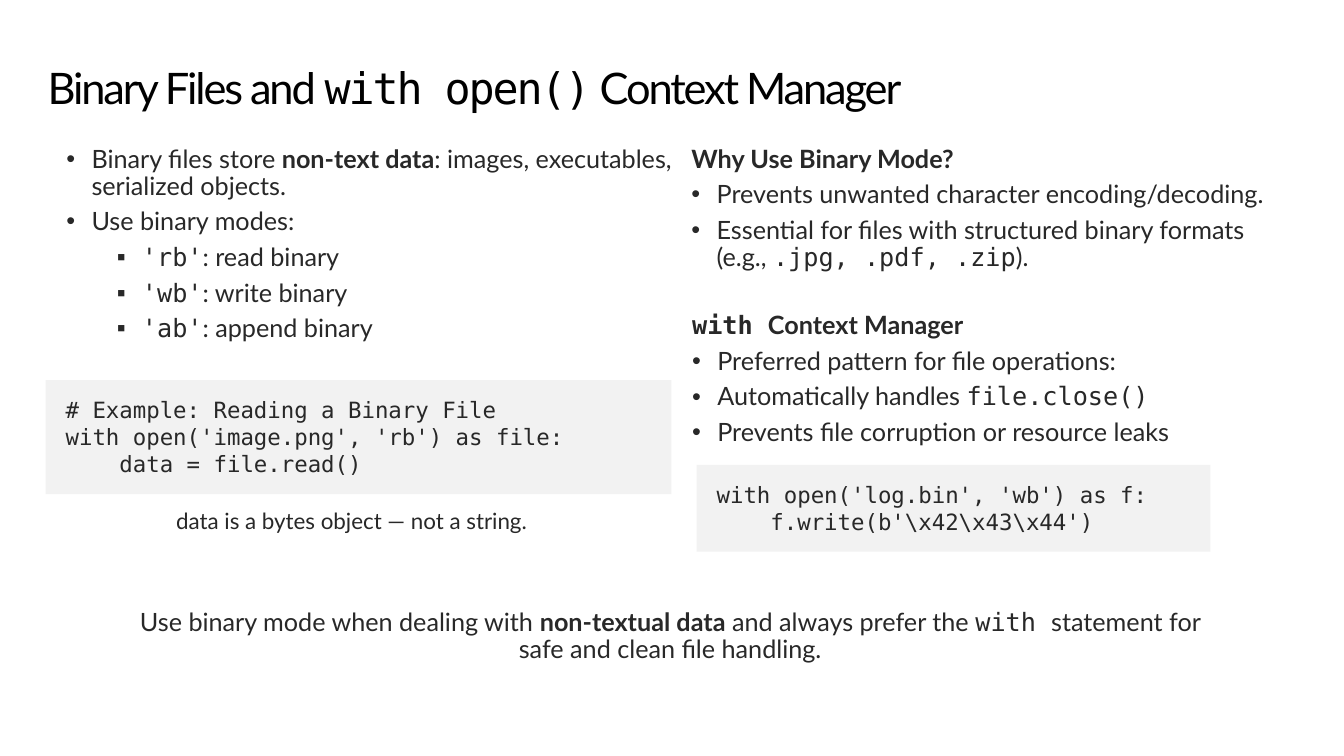
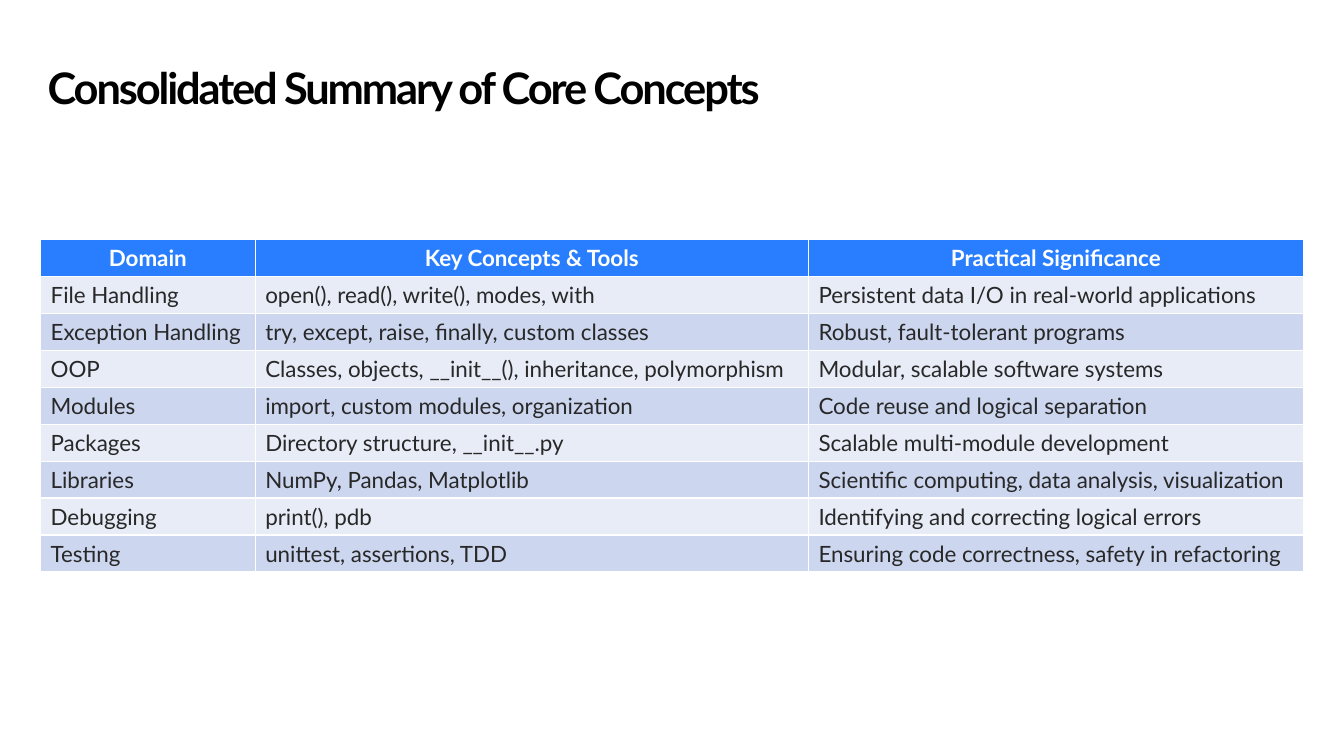
import pptx
import pptx.util
import pptx.dml.color
import pptx.enum.text
import pptx.enum.shapes
import pptx.oxml.ns
import lxml.etree

Pt = pptx.util.Pt
ALIGN = pptx.enum.text.PP_ALIGN
ANCHOR = pptx.enum.text.MSO_ANCHOR
SANS, MONO = "Lato", "DejaVu Sans Mono"
INK, BLACK, WHITE, GREY = "282828", "000000", "FFFFFF", "F2F2F2"
BLUE, LIGHT, MID = "287EFF", "E7ECF7", "CCD6EF"
TITLE = (34, 34.5, 892, 58.5)
MARKS = {1: ("•", 18), 2: ("▪", 54)}

ROWS = [
    ("Domain", "Key Concepts & Tools", "Practical Significance"),
    ("File Handling", "open(), read(), write(), modes, with",
     "Persistent data I/O in real-world applications"),
    ("Exception Handling", "try, except, raise, finally, custom classes",
     "Robust, fault-tolerant programs"),
    ("OOP", "Classes, objects, __init__(), inheritance, polymorphism",
     "Modular, scalable software systems"),
    ("Modules", "import, custom modules, organization",
     "Code reuse and logical separation"),
    ("Packages", "Directory structure, __init__.py",
     "Scalable multi-module development"),
    ("Libraries", "NumPy, Pandas, Matplotlib",
     "Scientific computing, data analysis, visualization"),
    ("Debugging", "print(), pdb", "Identifying and correcting logical errors"),
    ("Testing", "unittest, assertions, TDD",
     "Ensuring code correctness, safety in refactoring"),
]


def color(code):
    """Turn a hex string into a colour."""
    return pptx.dml.color.RGBColor.from_string(code)


def paint(shape, code):
    """Fill a shape or cell with one colour."""
    shape.fill.solid()
    shape.fill.fore_color.rgb = color(code)


def child(parent, tag, **attrs):
    """Append a drawing element to a parent."""
    return lxml.etree.SubElement(parent, pptx.oxml.ns.qn("a:" + tag), attrs)


def write(para, runs, size, ink=INK):
    """Add runs, each plain text or text with b (bold) and m (mono) flags."""
    for item in runs:
        text, flags = (item, "") if isinstance(item, str) else item
        run = para.add_run()
        run.text = text
        run.font.size = Pt(size)
        run.font.name = MONO if "m" in flags else SANS
        run.font.bold = "b" in flags
        run.font.color.rgb = color(ink)


def pad(frame, left, top, right, low):
    """Set wrapping, top anchor and insets of a text frame."""
    frame.word_wrap = True
    frame.auto_size = pptx.enum.text.MSO_AUTO_SIZE.NONE
    frame.vertical_anchor = ANCHOR.TOP
    frame.margin_left, frame.margin_top = Pt(left), Pt(top)
    frame.margin_right, frame.margin_bottom = Pt(right), Pt(low)


def lines(frame, count):
    """Yield the paragraphs of a frame, adding those that lack."""
    for index in range(count):
        yield frame.add_paragraph() if index else frame.paragraphs[0]


def head(slide, runs):
    """Place and format the slide title."""
    title = slide.shapes.title
    title.left, title.top, title.width, title.height = map(Pt, TITLE)
    pad(title.text_frame, 0, 13, 0, 0)
    para = title.text_frame.paragraphs[0]
    para.alignment = ALIGN.LEFT
    para.line_spacing = 0.9
    write(para, runs, 31, BLACK)
    for run in para.runs:
        run.font._element.set("spc", "-150")


def note(slide, box, paras, size=18, align=ALIGN.LEFT):
    """Add body text from (level, runs) pairs; levels 1 and 2 are bulleted."""
    frame = slide.shapes.add_textbox(*map(Pt, box)).text_frame
    pad(frame, 14.4, 11.5, 14.4, 11.5)
    for para, (level, runs) in zip(lines(frame, len(paras)), paras):
        if level:
            mark, left = MARKS[level]
            props = para._p.get_or_add_pPr()
            props.set("marL", str(Pt(left)))
            props.set("indent", str(-Pt(18)))
            child(props, "buFont", typeface="Arial")
            child(props, "buChar", char=mark)
        para.alignment = align
        para.line_spacing = 0.9
        para.space_after = Pt(6)
        write(para, runs, size)


def code(slide, box, rows):
    """Add a grey panel of code."""
    panel = slide.shapes.add_shape(
        pptx.enum.shapes.MSO_SHAPE.RECTANGLE, *map(Pt, box))
    panel.shadow.inherit = False
    paint(panel, GREY)
    panel.line.fill.background()
    pad(panel.text_frame, 14.4, 11.5, 14.4, 11.5)
    for para, row in zip(lines(panel.text_frame, len(rows)), rows):
        para.alignment = ALIGN.LEFT
        write(para, [(row, "m")], 16)


def modes(slide, box):
    """Fill the left column: binary modes and a reading example."""
    x, y, w, h = box
    note(slide, (x, y, w, 165.5), [
        (1, ["Binary files store ", ("non-text data", "b"),
             ": images, executables, serialized objects."]),
        (1, ["Use binary modes:"]),
        (2, [("'rb'", "m"), ": read binary"]),
        (2, [("'wb'", "m"), ": write binary"]),
        (2, [("'ab'", "m"), ": append binary"])])
    code(slide, (x - 0.5, y + 178.5, w - 17.5, 81.5), [
        "# Example: Reading a Binary File",
        "with open('image.png', 'rb') as file:",
        "    data = file.read()"])
    note(slide, (x + 78.5, y + 260, 288, h - 260),
         [(0, ["data is a bytes object — not a string."])], 16)


def reasons(slide, box):
    """Fill the right column: reasons, the manager and a writing example."""
    x, y, w, h = box
    note(slide, (x, y, w, 114), [
        (0, [("Why Use Binary Mode?", "b")]),
        (1, ["Prevents unwanted character encoding/decoding."]),
        (1, ["Essential for files with structured binary formats (e.g., ",
             (".jpg, .pdf, .zip", "m"), ")."])])
    note(slide, (x + 0.5, y + 119, w - 44.5, 120), [
        (0, [("with ", "bm"), ("Context Manager", "b")]),
        (1, ["Preferred pattern for file operations:"]),
        (1, ["Automatically handles ", ("file.close()", "m")]),
        (1, ["Prevents file corruption or resource leaks"])])
    code(slide, (x + 18, y + 239, w - 79.5, h - 239), [
        "with open('log.bin', 'wb') as f:",
        "    f.write(b'\\x42\\x43\\x44')"])


def files(slide):
    """Build the slide on binary files."""
    head(slide, ["Binary Files and ", ("with open()", "m"), " Context Manager"])
    modes(slide, (33, 93, 464.5, 301))
    reasons(slide, (479.5, 93, 446.5, 301))
    note(slide, (80.5, 424, 796.5, 62.5), [
        (0, ["Use binary mode when dealing with ", ("non-textual data", "b"),
             " and always prefer the ", ("with ", "m"),
             "statement for safe and clean file handling."])],
         align=ALIGN.CENTER)


def edge(cell):
    """Draw thin white borders round a cell."""
    props = cell._tc.get_or_add_tcPr()
    for side in ("lnL", "lnR", "lnT", "lnB"):
        line = child(props, side, w=str(Pt(1)))
        child(child(line, "solidFill"), "srgbClr", val=WHITE)


def grid(slide, box, widths):
    """Add the summary table with a blue header and banded rows."""
    frame = slide.shapes.add_table(len(ROWS), len(widths), *map(Pt, box))
    table = frame.table
    for col, width in zip(table.columns, widths):
        col.width = Pt(width)
    for r, row in enumerate(ROWS):
        table.rows[r].height = Pt(box[3] / len(ROWS))
        for c, text in enumerate(row):
            cell = table.cell(r, c)
            edge(cell)
            paint(cell, (MID if r % 2 == 0 else LIGHT) if r else BLUE)
            cell.vertical_anchor = ANCHOR.MIDDLE
            para = cell.text_frame.paragraphs[0]
            para.alignment = ALIGN.LEFT if r else ALIGN.CENTER
            write(para, [(text, "" if r else "b")], 16, INK if r else WHITE)


def recap(slide):
    """Build the summary slide."""
    head(slide, [("Consolidated Summary of Core Concepts", "b")])
    grid(slide, (29, 171, 902, 237.6), (153.3, 395.2, 353.5))


def main():
    """Build and save the deck."""
    deck = pptx.Presentation()
    deck.slide_width, deck.slide_height = Pt(960), Pt(540)
    for build in (files, recap):
        build(deck.slides.add_slide(deck.slide_layouts[5]))
    deck.save("out.pptx")


if __name__ == "__main__":
    main()
